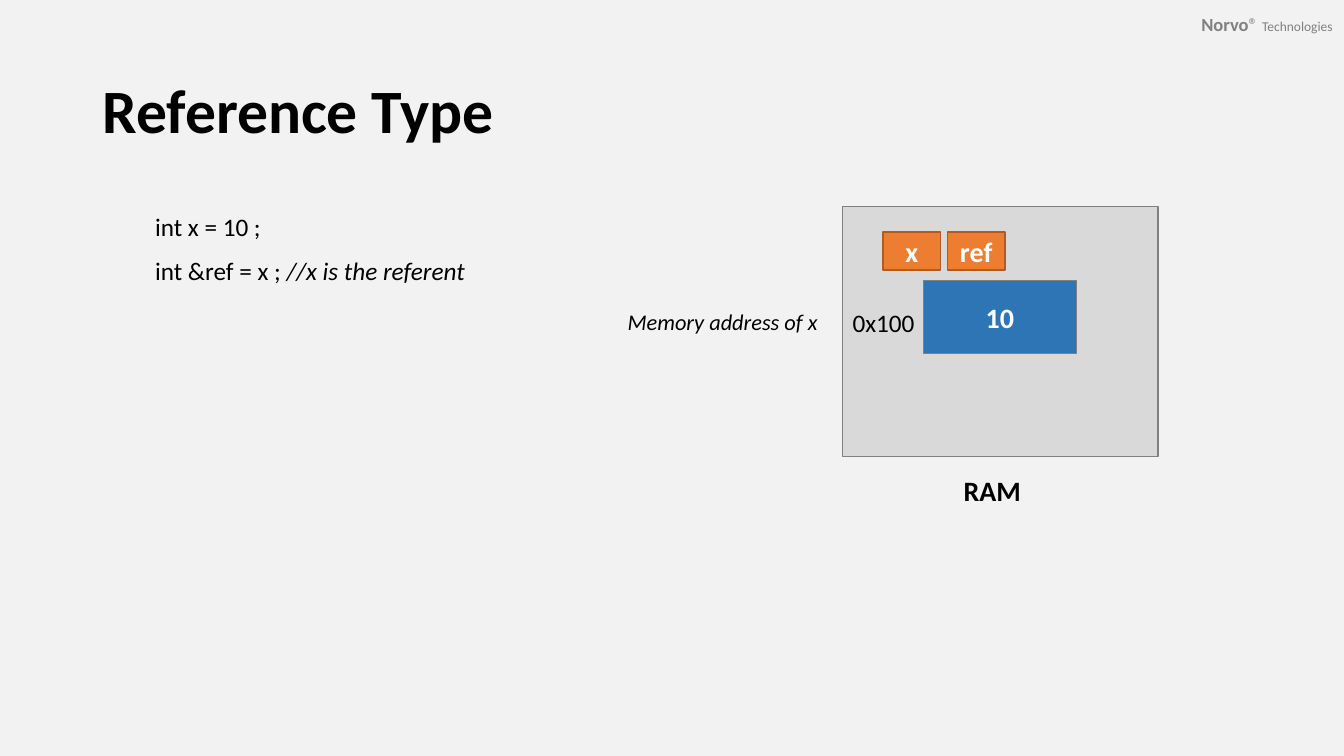
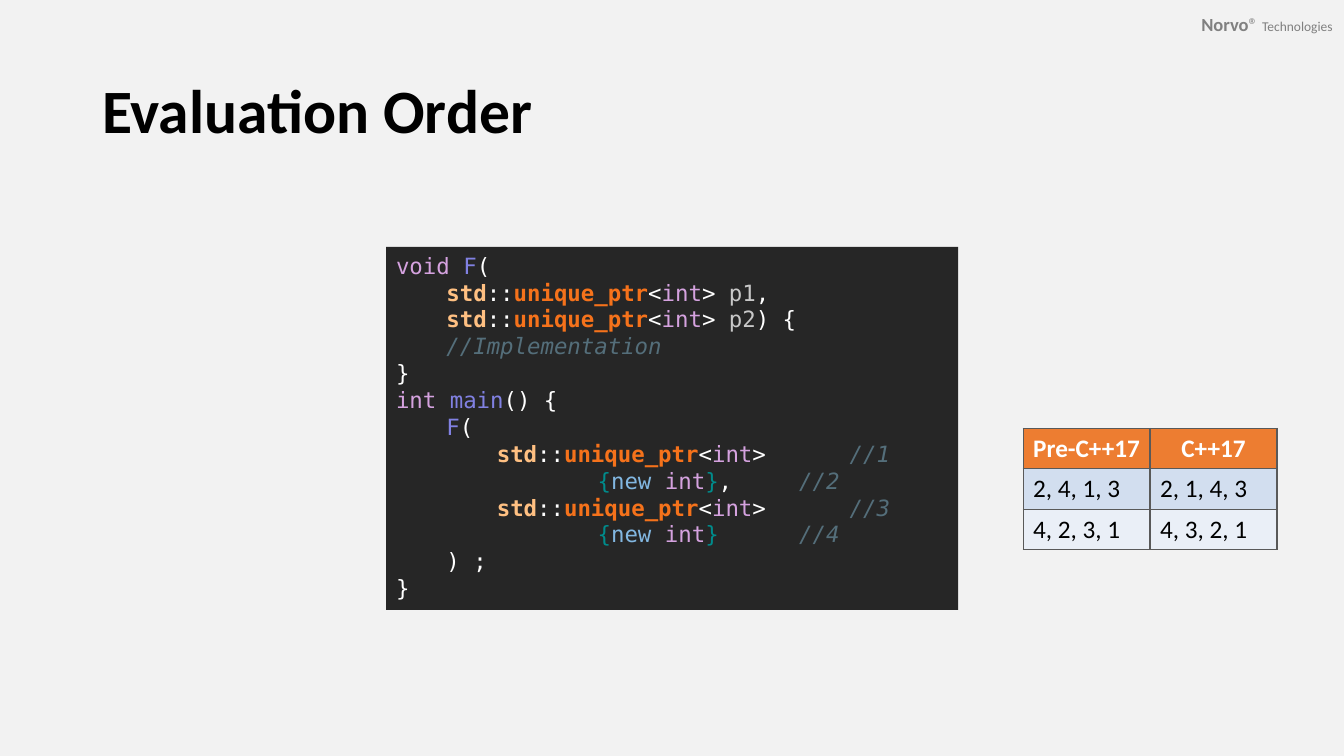
from dataclasses import dataclass
from typing import Optional

from lxml import etree
from pptx import Presentation
from pptx.dml.color import RGBColor
from pptx.enum.shapes import MSO_SHAPE as Preset
from pptx.enum.text import MSO_ANCHOR as Anchor, PP_ALIGN as Align
from pptx.oxml.ns import qn
from pptx.util import Pt

COLORS = {
    "page": "F2F2F2", "black": "000000", "white": "FFFFFF", "gray": "808080",
    "memory": "D9D9D9", "value": "2E75B6", "orange": "ED7D31", "rust": "AF5C24",
    "band": "D2DEEF", "pale": "EAEFF7", "border": "595959", "editor": "262626",
    "keyword": "D5A2DF", "function": "8181E2", "space": "FFC082", "type": "F5721B",
    "param": "C8C8C8", "comment": "546E7A", "brace": "008B8B", "operator": "82B7E1",
}
BODY_FONT = "Calibri"
CODE_FONT = "DejaVu Sans Mono"
TAB = 36


@dataclass(frozen=True)
class Span:
    """A piece of text; unset fields follow the text around it."""
    text: str
    color: Optional[str] = None
    bold: Optional[bool] = None
    italic: Optional[bool] = None
    size: Optional[float] = None


@dataclass(frozen=True)
class Area:
    """A rectangle in points."""
    left: float
    top: float
    width: float
    height: float

    def lengths(self) -> tuple:
        """Return the four values as lengths."""
        return Pt(self.left), Pt(self.top), Pt(self.width), Pt(self.height)


@dataclass(frozen=True)
class Label:
    """A free line of text."""
    area: Area
    spans: list
    size: float = 18
    bold: bool = False
    align: Align = Align.LEFT
    anchor: Anchor = Anchor.TOP


@dataclass(frozen=True)
class Block:
    """A filled rectangle with a short text."""
    area: Area
    fill: str
    line: Optional[str]
    text: str = ""


def rgb(name: str) -> RGBColor:
    """Look up a colour by its name."""
    return RGBColor.from_string(COLORS[name])


def add_text(frame, lines, *, size=18, font=BODY_FONT, color="black", bold=False,
             align=Align.LEFT, spacing=None, shadow=False) -> None:
    """Write lines of spans into a text frame."""
    for number, spans in enumerate(lines):
        para = frame.add_paragraph() if number else frame.paragraphs[0]
        para.alignment = align
        if spacing:
            para.line_spacing = spacing
        for span in spans:
            run = para.add_run()
            run.text = span.text
            run.font.name = font
            run.font.size = Pt(span.size or size)
            run.font.bold = bold if span.bold is None else span.bold
            run.font.italic = bool(span.italic)
            run.font.color.rgb = rgb(span.color or color)
            if shadow:
                add_text_shadow(run)


def add_text_shadow(run) -> None:
    """Put a soft shadow behind a run."""
    effects = etree.Element(qn("a:effectLst"))
    outer = etree.SubElement(effects, qn("a:outerShdw"), blurRad="38100",
                             dist="19050", dir="2700000")
    tint = etree.SubElement(outer, qn("a:srgbClr"), val=COLORS["black"])
    etree.SubElement(tint, qn("a:alpha"), val="40000")
    run.font.fill._xPr.find(qn("a:solidFill")).addnext(effects)


def add_label(page, label: Label, **text_format):
    """Draw a text box and return it."""
    box = page.shapes.add_textbox(*label.area.lengths())
    frame = box.text_frame
    frame.word_wrap = True
    frame.vertical_anchor = label.anchor
    add_text(frame, [label.spans], size=label.size, bold=label.bold,
             align=label.align, **text_format)
    return box


def add_block(page, block: Block):
    """Draw a rectangle and return it."""
    shape = page.shapes.add_shape(Preset.RECTANGLE, *block.area.lengths())
    shape.shadow.inherit = False
    shape.fill.solid()
    shape.fill.fore_color.rgb = rgb(block.fill)
    if block.line:
        shape.line.color.rgb = rgb(block.line)
        shape.line.width = Pt(1)
    else:
        shape.line.fill.background()
    shape.text_frame.vertical_anchor = Anchor.MIDDLE
    if block.text:
        add_text(shape.text_frame, [[Span(block.text)]], size=20, color="white",
                 bold=True, align=Align.CENTER)
    return shape


def add_page(deck, title: str):
    """Add a slide with the company name and a title."""
    page = deck.slides.add_slide(deck.slide_layouts[6])
    company = [Span("Norvo", bold=True), Span("® "), Span("Technologies", size=9.6)]
    box = add_label(page, Label(Area(821.5, 0.7, 139, 32.4), company, 13.2,
                                align=Align.RIGHT, anchor=Anchor.MIDDLE),
                    color="gray", shadow=True)
    frame = box.text_frame
    frame.margin_left = frame.margin_right = Pt(8.64)
    frame.margin_top = frame.margin_bottom = Pt(4.32)
    add_label(page, Label(Area(66, 28.8, 828, 104.4), [Span(title)], 44, True,
                          anchor=Anchor.MIDDLE), spacing=0.9)
    return page


def add_tab_stops(frame, count: int) -> None:
    """Give every paragraph evenly spaced tab stops."""
    for para in frame.paragraphs:
        stops = etree.SubElement(para._p.get_or_add_pPr(), qn("a:tabLst"))
        for number in range(1, count + 1):
            etree.SubElement(stops, qn("a:tab"), pos=str(Pt(TAB * number)), algn="l")


def add_borders(cell) -> None:
    """Draw a thin line on each side of a table cell."""
    properties = cell._tc.get_or_add_tcPr()
    for position, side in enumerate(("a:lnL", "a:lnR", "a:lnT", "a:lnB")):
        line = etree.Element(qn(side), w=str(Pt(1)))
        fill = etree.SubElement(line, qn("a:solidFill"))
        etree.SubElement(fill, qn("a:srgbClr"), val=COLORS["border"])
        properties.insert(position, line)


def add_order_table(page, area: Area, rows: list) -> None:
    """Draw the table of evaluation orders, header row first."""
    table = page.shapes.add_table(len(rows), len(rows[0]), *area.lengths()).table
    fills = ("orange", "band", "pale")
    for row_number, texts in enumerate(rows):
        header = row_number == 0
        for column, text in enumerate(texts):
            cell = table.cell(row_number, column)
            cell.fill.solid()
            cell.fill.fore_color.rgb = rgb(fills[row_number])
            add_borders(cell)
            add_text(cell.text_frame, [[Span(text)]], bold=header,
                     color="white" if header else "black",
                     align=Align.CENTER if header else Align.LEFT)


def comment(text: str) -> Span:
    """Return a code comment."""
    return Span(text, "comment", italic=True)


def pointer(tabs: int, *rest: Span) -> list:
    """Return a code line that starts with a smart pointer type."""
    return [Span("\t" * tabs), Span("std", "space", True), Span("::"),
            Span("unique_ptr", "type", True), Span("<"), Span("int", "keyword"),
            Span(">"), *rest]


def allocation(ending: str, note: str) -> list:
    """Return a code line that allocates an integer."""
    return [Span("\t" * 4), Span("{", "brace"), Span("new ", "operator"),
            Span("int", "keyword"), Span("}", "brace"), Span(ending + "\t\t"),
            comment(note)]


def build_reference_page(deck) -> None:
    """Show a reference and its referent in memory."""
    page = add_page(deck, "Reference Type")
    add_block(page, Block(Area(601.9, 147.6, 225.4, 178.6), "memory", "gray"))
    blocks = [Block(Area(659.5, 200.2, 109.4, 52.4), "value", "gray", "10")]
    blocks += [Block(Area(630.7 + 46 * number, 165.8, 41.2, 27), "orange", "rust", name)
               for number, name in enumerate(("x", "ref"))]
    for block in blocks:
        frame = add_block(page, block).text_frame
        frame.word_wrap = False
    labels = [
        Label(Area(103.7, 147.6, 125.3, 29), [Span("int x = 10 ;")]),
        Label(Area(103.7, 178.6, 272.2, 29),
              [Span("int &ref = x ; "), Span("//x is the referent", italic=True)]),
        Label(Area(601.9, 216.7, 73.4, 27.4), [Span("0x100")], anchor=Anchor.MIDDLE),
        Label(Area(630.7, 334.8, 156.2, 31.7), [Span("RAM")], 20, True, Align.CENTER),
        Label(Area(424.1, 216.7, 167, 26.6),
              [Span("Memory address of x", italic=True)], 16, align=Align.RIGHT),
    ]
    for label in labels:
        add_label(page, label)


def build_order_page(deck) -> None:
    """Show the code and its possible evaluation orders."""
    page = add_page(deck, "Evaluation Order")
    code = [
        [Span("void ", "keyword"), Span("F", "function"), Span("(")],
        pointer(1, Span(" "), Span("p1", "param"), Span(",")),
        pointer(1, Span(" "), Span("p2", "param"), Span(") {")),
        [Span("\t"), comment("//Implementation")],
        [Span("}")],
        [Span("int ", "keyword"), Span("main", "function"), Span("() {")],
        [Span("\t"), Span("F", "function"), Span("(")],
        pointer(2, Span("\t\t"), comment("//1")),
        allocation(",", "//2"),
        pointer(2, Span("\t\t"), comment("//3")),
        allocation("", "//4"),
        [Span("\t) ;")],
        [Span("}")],
    ]
    editor = add_block(page, Block(Area(275.8, 176.4, 408.6, 259.2), "editor", None))
    frame = editor.text_frame
    frame.word_wrap = True
    frame.vertical_anchor = Anchor.TOP
    add_text(frame, code, size=16, font=CODE_FONT, color="white")
    add_tab_stops(frame, 10)
    add_order_table(page, Area(730.8, 306, 181.4, 86.4), [
        ("Pre-C++17", "C++17"),
        ("2, 4, 1, 3", "2, 1, 4, 3"),
        ("4, 2, 3, 1", "4, 3, 2, 1"),
    ])


def main() -> None:
    """Build and save the deck."""
    deck = Presentation()
    deck.slide_width, deck.slide_height = Pt(960), Pt(540)
    background = deck.slide_master.background.fill
    background.solid()
    background.fore_color.rgb = rgb("page")
    build_reference_page(deck)
    build_order_page(deck)
    deck.save("out.pptx")


main()
